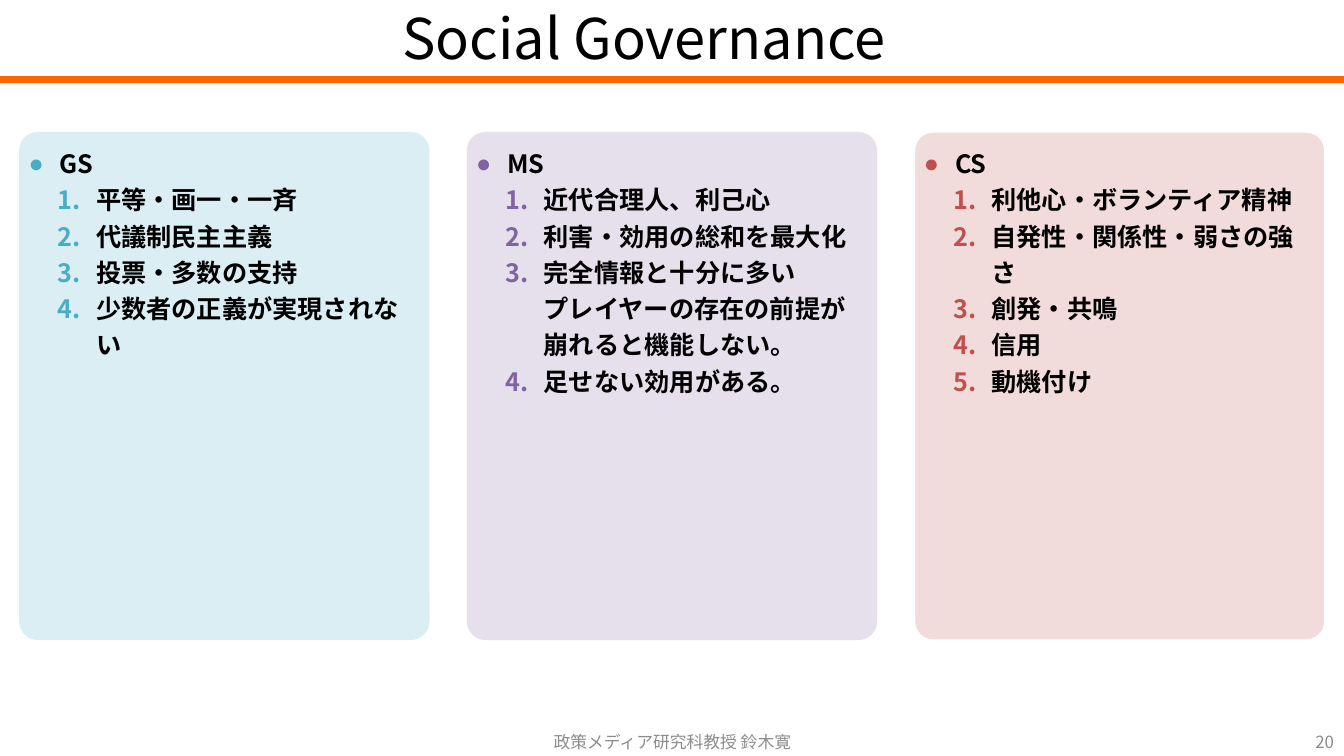
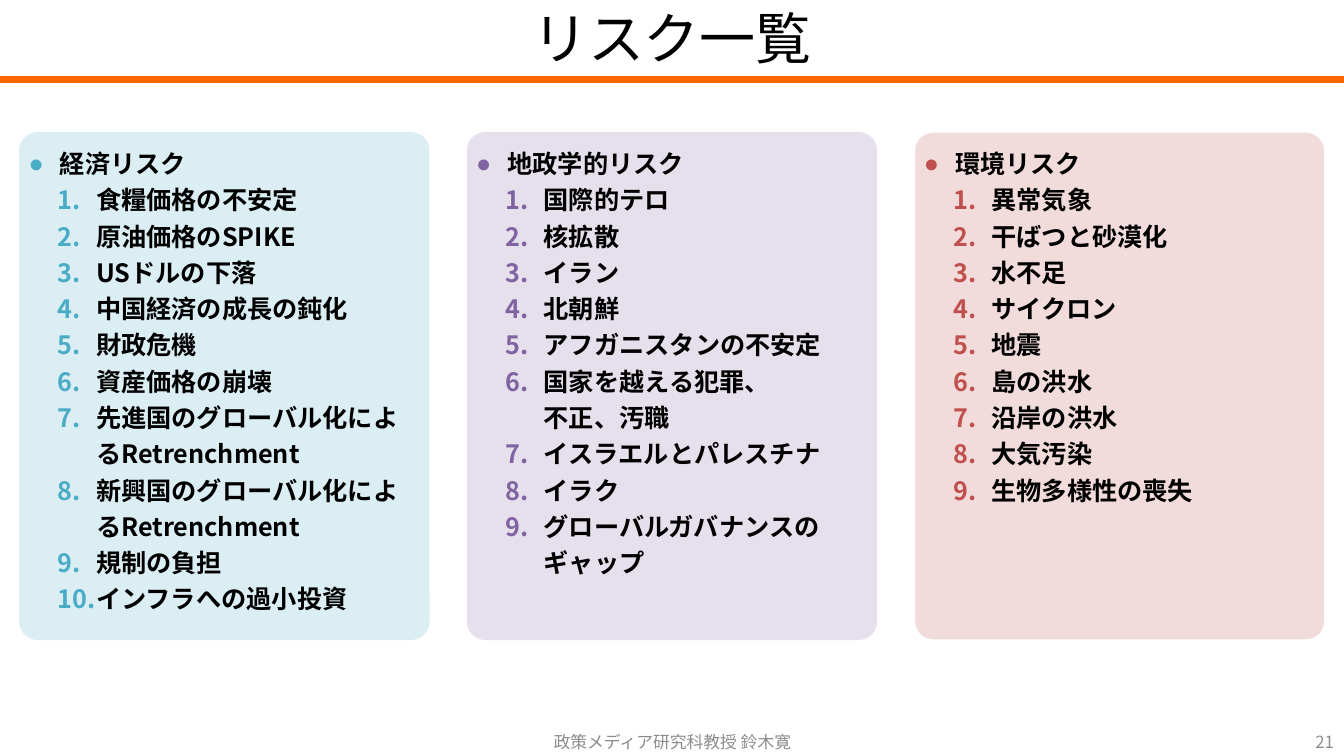
from dataclasses import dataclass

import lxml.etree
import pptx
import pptx.dml.color
import pptx.enum.shapes
import pptx.enum.text
import pptx.oxml.ns
import pptx.presentation
import pptx.slide
import pptx.text.text
import pptx.util
from pptx.util import Inches

FONT = "Noto Sans CJK JP"
BLACK, GREY, ORANGE, WHITE = "000000", "8C8C8C", "FF6600", "FFFFFF"
FOOTER = "政策メディア研究科教授 鈴木寛"
FIRST_PAGE = 20
SLIDE_WIDTH, SLIDE_HEIGHT = 13.33, 7.5

CARD_LEFT, CARD_TOP, CARD_PITCH = 0.19, 1.31, 4.44
CARD_WIDTH, CARD_HEIGHT = 4.07, 5.04

ALIGN = pptx.enum.text.PP_ALIGN
ANCHOR = pptx.enum.text.MSO_ANCHOR


@dataclass(frozen=True)
class CardStyle:
    fill: str
    accent: str
    outline: str | None = None


@dataclass(frozen=True)
class Card:
    heading: str
    items: tuple[str, ...]


@dataclass(frozen=True)
class Page:
    title: str
    cards: tuple[Card, ...]


CARD_STYLES = (
    CardStyle("DBEEF4", "4BACC6"),
    CardStyle("E6E0EC", "8064A2"),
    CardStyle("F2DCDB", "C0504D", outline=WHITE),
)

PAGES = (
    Page("Social Governance　", (
        Card("GS", (
            "平等・画一・一斉",
            "代議制民主主義",
            "投票・多数の支持",
            "少数者の正義が実現されない",
        )),
        Card("MS", (
            "近代合理人、利己心",
            "利害・効用の総和を最大化",
            "完全情報と十分に多い\nプレイヤーの存在の前提が崩れると機能しない。",
            "足せない効用がある。",
        )),
        Card("CS", (
            "利他心・ボランティア精神",
            "自発性・関係性・弱さの強さ",
            "創発・共鳴",
            "信用",
            "動機付け",
        )),
    )),
    Page("リスク一覧", (
        Card("経済リスク", (
            "食糧価格の不安定",
            "原油価格のSPIKE",
            "USドルの下落",
            "中国経済の成長の鈍化",
            "財政危機",
            "資産価格の崩壊",
            "先進国のグローバル化によるRetrenchment",
            "新興国のグローバル化によるRetrenchment",
            "規制の負担",
            "インフラへの過小投資",
        )),
        Card("地政学的リスク", (
            "国際的テロ",
            "核拡散",
            "イラン",
            "北朝鮮",
            "アフガニスタンの不安定",
            "国家を越える犯罪、\n不正、汚職",
            "イスラエルとパレスチナ",
            "イラク",
            "グローバルガバナンスのギャップ",
        )),
        Card("環境リスク", (
            "異常気象",
            "干ばつと砂漠化",
            "水不足",
            "サイクロン",
            "地震",
            "島の洪水",
            "沿岸の洪水",
            "大気汚染",
            "生物多様性の喪失",
        )),
    )),
)


def color(value: str) -> pptx.dml.color.RGBColor:
    return pptx.dml.color.RGBColor.from_string(value)


def add_xml(parent: lxml.etree._Element, tag: str, **attributes: str) -> lxml.etree._Element:
    element = lxml.etree.SubElement(parent, pptx.oxml.ns.qn(tag))
    for name, value in attributes.items():
        element.set(name, value)
    return element


def write(paragraph: pptx.text.text._Paragraph, text: str, size: float,
          text_color: str, bold: bool = False) -> None:
    """Add one run per line of text, with line breaks between them."""
    for number, line in enumerate(text.split("\n")):
        if number:
            paragraph.add_line_break()
        run = paragraph.add_run()
        run.text = line
        run.font.size = pptx.util.Pt(size)
        run.font.bold = bold
        run.font.color.rgb = color(text_color)
        run.font.name = FONT
        add_xml(run.font._element, "a:ea", typeface=FONT)


def set_bullet(paragraph: pptx.text.text._Paragraph, accent: str, numbered: bool) -> None:
    properties = paragraph._p.get_or_add_pPr()
    margin, indent = (0.67, -0.38) if numbered else (0.31, -0.31)
    properties.set("marL", str(Inches(margin)))
    properties.set("indent", str(Inches(indent)))
    add_xml(add_xml(properties, "a:buClr"), "a:srgbClr", val=accent)
    if numbered:
        add_xml(properties, "a:buFont", typeface="+mj-lt")
        add_xml(properties, "a:buAutoNum", type="arabicPeriod")
    else:
        add_xml(properties, "a:buFont", typeface="Arial")
        add_xml(properties, "a:buChar", char="●")


def add_title(slide: pptx.slide.Slide, text: str) -> None:
    title = slide.shapes.title
    title.left, title.top = Inches(0), Inches(0.06)
    title.width, title.height = Inches(SLIDE_WIDTH), Inches(0.87)
    frame = title.text_frame
    frame.auto_size = pptx.enum.text.MSO_AUTO_SIZE.NONE
    frame.vertical_anchor = ANCHOR.TOP
    paragraph = frame.paragraphs[0]
    paragraph.alignment = ALIGN.CENTER
    paragraph.line_spacing = 0.9
    write(paragraph, text, 40, BLACK)


def add_title_rule(slide: pptx.slide.Slide) -> None:
    rule = slide.shapes.add_connector(
        pptx.enum.shapes.MSO_CONNECTOR.STRAIGHT,
        Inches(0), Inches(0.79), Inches(SLIDE_WIDTH), Inches(0.79))
    rule.line.color.rgb = color(ORANGE)
    rule.line.width = pptx.util.Pt(4.5)
    add_xml(rule._element.spPr, "a:effectLst")


def add_footer_text(slide: pptx.slide.Slide, text: str, left: float, width: float,
                    alignment: pptx.enum.text.PP_ALIGN) -> None:
    box = slide.shapes.add_textbox(Inches(left), Inches(7.11), Inches(width), Inches(0.4))
    frame = box.text_frame
    frame.word_wrap = True
    frame.vertical_anchor = ANCHOR.BOTTOM
    paragraph = frame.paragraphs[0]
    paragraph.alignment = alignment
    write(paragraph, text, 12, GREY)


def add_card(slide: pptx.slide.Slide, card: Card, style: CardStyle, left: float) -> None:
    shape = slide.shapes.add_shape(
        pptx.enum.shapes.MSO_SHAPE.ROUNDED_RECTANGLE,
        Inches(left), Inches(CARD_TOP), Inches(CARD_WIDTH), Inches(CARD_HEIGHT))
    shape.adjustments[0] = 0.045
    shape.shadow.inherit = False
    shape.fill.solid()
    shape.fill.fore_color.rgb = color(style.fill)
    if style.outline:
        shape.line.color.rgb = color(style.outline)
        shape.line.width = pptx.util.Pt(1)
    else:
        shape.line.fill.background()

    frame = shape.text_frame
    frame.word_wrap = True
    frame.vertical_anchor = ANCHOR.TOP
    frame.margin_left = frame.margin_right = Inches(0.04)
    frame.margin_top = frame.margin_bottom = Inches(0.05)
    for number, text in enumerate((card.heading, *card.items)):
        paragraph = frame.add_paragraph() if number else frame.paragraphs[0]
        paragraph.level = min(number, 1)
        paragraph.alignment = ALIGN.LEFT
        paragraph.line_spacing = 1.2
        set_bullet(paragraph, style.accent, numbered=number > 0)
        write(paragraph, text, 18, BLACK, bold=True)


def add_page(presentation: pptx.presentation.Presentation, page: Page, number: int) -> None:
    slide = presentation.slides.add_slide(presentation.slide_layouts.get_by_name("Title Only"))
    add_footer_text(slide, FOOTER, 4.42, 4.5, ALIGN.CENTER)
    add_footer_text(slide, str(number), 10.33, 3, ALIGN.RIGHT)
    add_title(slide, page.title)
    add_title_rule(slide)
    for column, (card, style) in enumerate(zip(page.cards, CARD_STYLES)):
        add_card(slide, card, style, CARD_LEFT + column * CARD_PITCH)


def main() -> None:
    presentation = pptx.Presentation()
    presentation.slide_width = Inches(SLIDE_WIDTH)
    presentation.slide_height = Inches(SLIDE_HEIGHT)
    for number, page in enumerate(PAGES, FIRST_PAGE):
        add_page(presentation, page, number)
    presentation.save("out.pptx")


if __name__ == "__main__":
    main()
